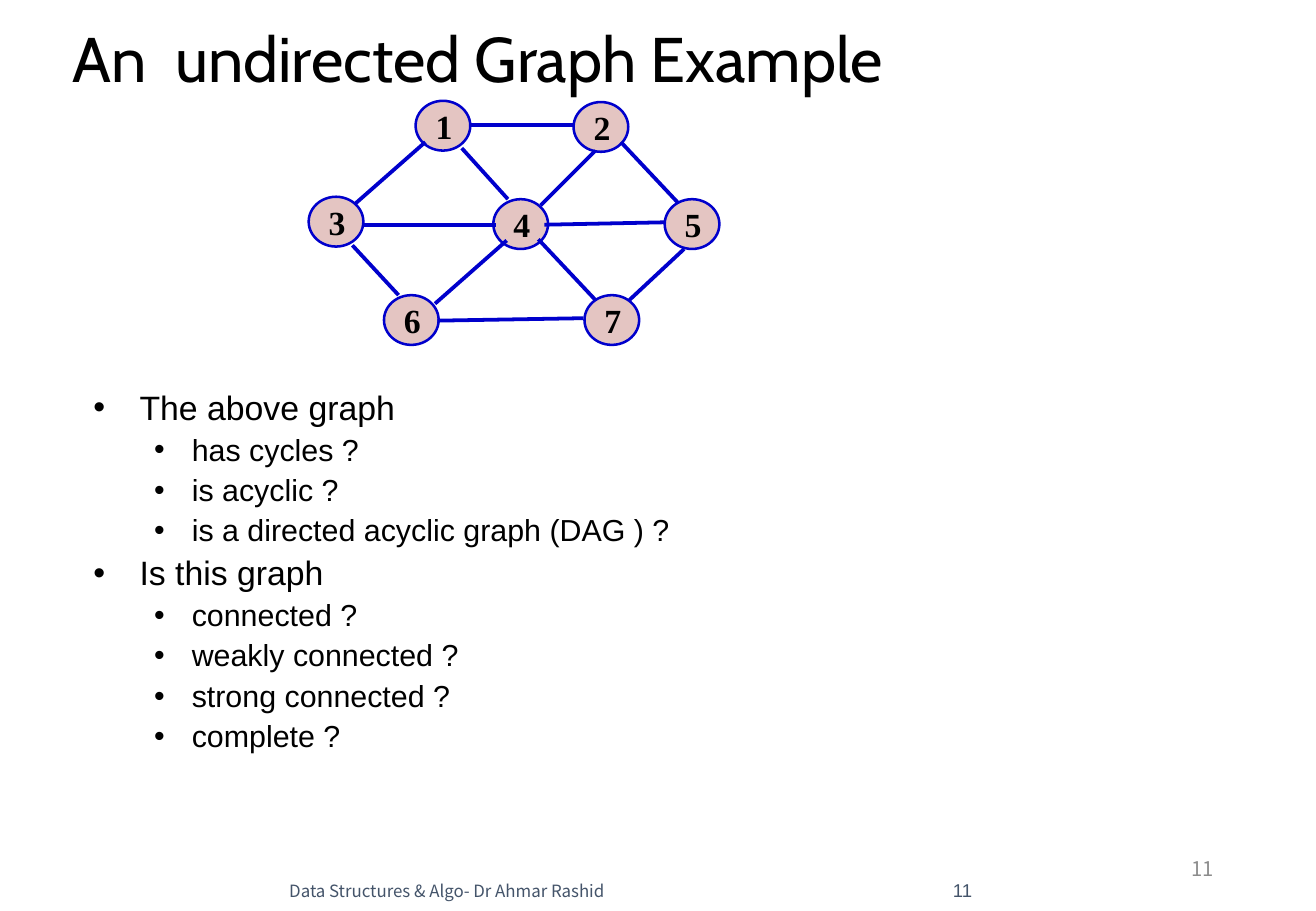
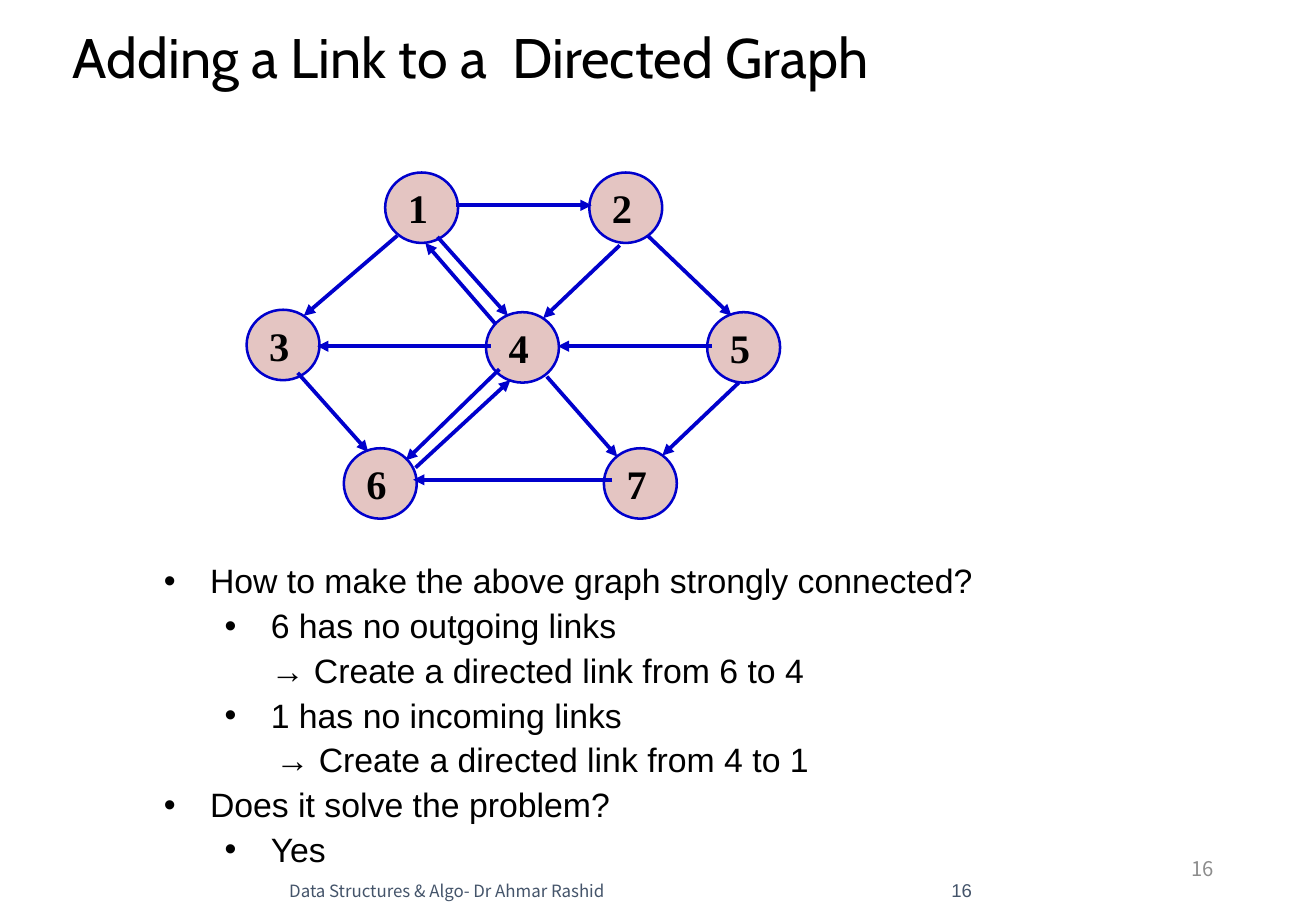
from lxml.etree import SubElement
from pptx import Presentation
from pptx.dml.color import RGBColor
from pptx.enum.shapes import MSO_CONNECTOR, MSO_SHAPE
from pptx.enum.text import MSO_ANCHOR, PP_ALIGN
from pptx.oxml.ns import qn
from pptx.util import Inches, Pt

COLORS = {"text": "000000", "node": "E4C5C2", "edge": "0000CC",
          "footer": "44546A", "number": "8C8C8C"}
FOOTER = "Data Structures & Algo- Dr Ahmar Rashid"

# Text formats
TITLE = {"name": "Cabin", "color": "text"}
BODY = {"name": "Arial", "color": "text"}
LABEL = {"name": "Times New Roman", "bold": True, "color": "text"}
CORNER_NUMBER = {"name": "Noto Sans CJK SC", "size": Pt(12), "color": "number"}
FOOTER_TEXT = {"name": "Noto Sans CJK SC", "size": Pt(10), "color": "footer"}
FOOTER_NUMBER = {"name": "Arial", "size": Pt(11), "color": "footer"}

# Body styles: level, left indent, first-line indent, size, bullet
TOPIC = (0, 0.38, -0.38, 20, True)
QUESTION = (1, 0.81, -0.31, 18, True)
DETAIL = (1, 0.88, -0.38, 20, True)
ANSWER = (1, 0.88, 0, 20, False)
SECOND_ANSWER = (1, 0.92, 0, 20, False)

# Nodes are left, top; links are start x, start y, end x, end y
SLIDES = [
    {
        "number": 11, "title": "An  undirected Graph Example",
        "title_size": 37.4, "title_spacing": 0.8,
        "node_size": (0.45, 0.41), "label_size": 20, "directed": False,
        "nodes": {"1": (3.42, 0.83), "2": (4.72, 0.84), "3": (2.54, 1.62),
                  "4": (4.06, 1.64), "5": (5.47, 1.64), "6": (3.16, 2.43),
                  "7": (4.81, 2.43)},
        "links": [
            (3.88, 1.03, 4.73, 1.03), (2.98, 1.85, 4.08, 1.85),
            (4.48, 1.85, 5.48, 1.83), (3.6, 2.64, 4.8, 2.62),
            (2.92, 1.68, 3.5, 1.17), (3.58, 2.5, 4.17, 1.98),
            (5.18, 2.47, 5.63, 2.05), (4.45, 1.69, 4.9, 1.24),
            (3.28, 2.43, 2.9, 2.02), (4.9, 2.47, 4.43, 1.97),
            (5.58, 1.67, 5.11, 1.17), (4.18, 1.64, 3.8, 1.22)],
        "body_area": (0.67, 3.17, 7.42, 3.5),
        "body": [
            ("The above graph", TOPIC),
            ("has cycles ?", QUESTION),
            ("is acyclic ?", QUESTION),
            ("is a directed acyclic graph (DAG ) ?", QUESTION),
            ("Is this graph", TOPIC),
            ("connected ?", QUESTION),
            ("weakly connected ?", QUESTION),
            ("strong connected ?", QUESTION),
            ("complete ?", QUESTION)],
    },
    {
        "number": 16, "title": "Adding a Link to a  Directed Graph",
        "title_size": 33, "title_spacing": 0.7,
        "node_size": (0.6, 0.58), "label_size": 24, "directed": True,
        "nodes": {"1": (3.17, 1.42), "2": (4.85, 1.42), "3": (2.03, 2.55),
                  "4": (4, 2.57), "5": (5.82, 2.57), "6": (2.83, 3.69),
                  "7": (4.97, 3.69)},
        "links": [
            (3.27, 1.94, 2.5, 2.6), (3.75, 1.69, 4.87, 1.69),
            (3.6, 1.95, 4.18, 2.6), (4.11, 3.04, 3.34, 3.79),
            (4.5, 3.1, 5.08, 3.76), (5.1, 2.02, 4.47, 2.62),
            (5.04, 3.95, 3.4, 3.95), (2.45, 3.07, 3.03, 3.72),
            (5.33, 1.94, 6.02, 2.6), (6.08, 3.15, 5.45, 3.75),
            (5.86, 2.85, 4.59, 2.85), (4.04, 2.85, 2.61, 2.85),
            (3.42, 3.85, 4.2, 3.13), (4.08, 2.67, 3.5, 2)],
        "body_area": (1.25, 4.6, 7.58, 2.65),
        "body": [
            ("How to make the above graph strongly connected?", TOPIC),
            ("6 has no outgoing links", DETAIL),
            ("→ Create a directed link from 6 to 4", ANSWER),
            ("1 has no incoming links", DETAIL),
            ("→ Create a directed link from 4 to 1", SECOND_ANSWER),
            ("Does it solve the problem?", TOPIC),
            ("Yes", DETAIL)],
    },
]


def color(name):
    return RGBColor.from_string(COLORS[name])


def add_span(para, text, style):
    span = para.add_run()
    span.text = text
    for key, value in style.items():
        if key == "color":
            span.font.color.rgb = color(value)
        else:
            setattr(span.font, key, value)


def add_box(page, area, anchor=MSO_ANCHOR.TOP, insets=None):
    frame = page.shapes.add_textbox(*map(Inches, area)).text_frame
    frame.word_wrap = True
    frame.vertical_anchor = anchor
    if insets is not None:
        frame.margin_left = frame.margin_right = Inches(insets)
        frame.margin_top = frame.margin_bottom = 0
    return frame


def add_frame(page, content):
    """Title, footer and both page numbers."""
    number = str(content["number"])
    title = add_box(page, (0.5, 0.19, 7.92, 0.68), MSO_ANCHOR.MIDDLE)
    title.paragraphs[0].line_spacing = content["title_spacing"]
    add_span(title.paragraphs[0], content["title"],
             {**TITLE, "size": Pt(content["title_size"])})
    for text, area, anchor, insets, style in [
            (number, (7.65, 6.95, 2.44, 0.4), MSO_ANCHOR.MIDDLE, None, CORNER_NUMBER),
            (FOOTER, (1.9, 7.17, 3.17, 0.25), MSO_ANCHOR.BOTTOM, 0.1, FOOTER_TEXT),
            (number, (7.36, 7.17, 0.64, 0.25), MSO_ANCHOR.BOTTOM, 0, FOOTER_NUMBER)]:
        para = add_box(page, area, anchor, insets).paragraphs[0]
        para.alignment = PP_ALIGN.RIGHT
        add_span(para, text, style)


def add_node(page, label, place, size, label_size):
    node = page.shapes.add_shape(MSO_SHAPE.OVAL, *map(Inches, place + size))
    node.shadow.inherit = False
    node.fill.solid()
    node.fill.fore_color.rgb = color("node")
    node.line.color.rgb = color("edge")
    node.line.width = Pt(1.5)
    node.text_frame.word_wrap = False
    node.text_frame.vertical_anchor = MSO_ANCHOR.MIDDLE
    para = node.text_frame.paragraphs[0]
    para.alignment = PP_ALIGN.LEFT
    add_span(para, label, {**LABEL, "size": Pt(label_size)})


def add_link(page, ends, directed):
    link = page.shapes.add_connector(MSO_CONNECTOR.STRAIGHT, *map(Inches, ends))
    link.line.color.rgb = color("edge")
    link.line.width = Pt(2.25)
    if directed:
        SubElement(link.line._get_or_add_ln(), qn("a:tailEnd"), type="triangle")
    SubElement(link._element.spPr, qn("a:effectLst"))


def add_body(page, area, lines):
    frame = add_box(page, area)
    for index, (text, style) in enumerate(lines):
        level, left, first, size, bullet = style
        para = frame.add_paragraph() if index else frame.paragraphs[0]
        para.level = level
        para.line_spacing = 0.9
        if index:
            para.space_before = Pt(size * 0.245)
        properties = para._p.get_or_add_pPr()
        properties.set("marL", str(Inches(left)))
        properties.set("indent", str(Inches(first)))
        if bullet:
            SubElement(properties, qn("a:buFont"), typeface="Arial")
            SubElement(properties, qn("a:buChar"), char="•")
        add_span(para, text, {**BODY, "size": Pt(size)})


def main():
    deck = Presentation()
    deck.slide_width, deck.slide_height = Inches(10.83), Inches(7.5)
    for content in SLIDES:
        page = deck.slides.add_slide(deck.slide_layouts[6])
        add_frame(page, content)
        for label, place in content["nodes"].items():
            add_node(page, label, place, content["node_size"], content["label_size"])
        for ends in content["links"]:
            add_link(page, ends, content["directed"])
        add_body(page, content["body_area"], content["body"])
    deck.save("out.pptx")


if __name__ == "__main__":
    main()
